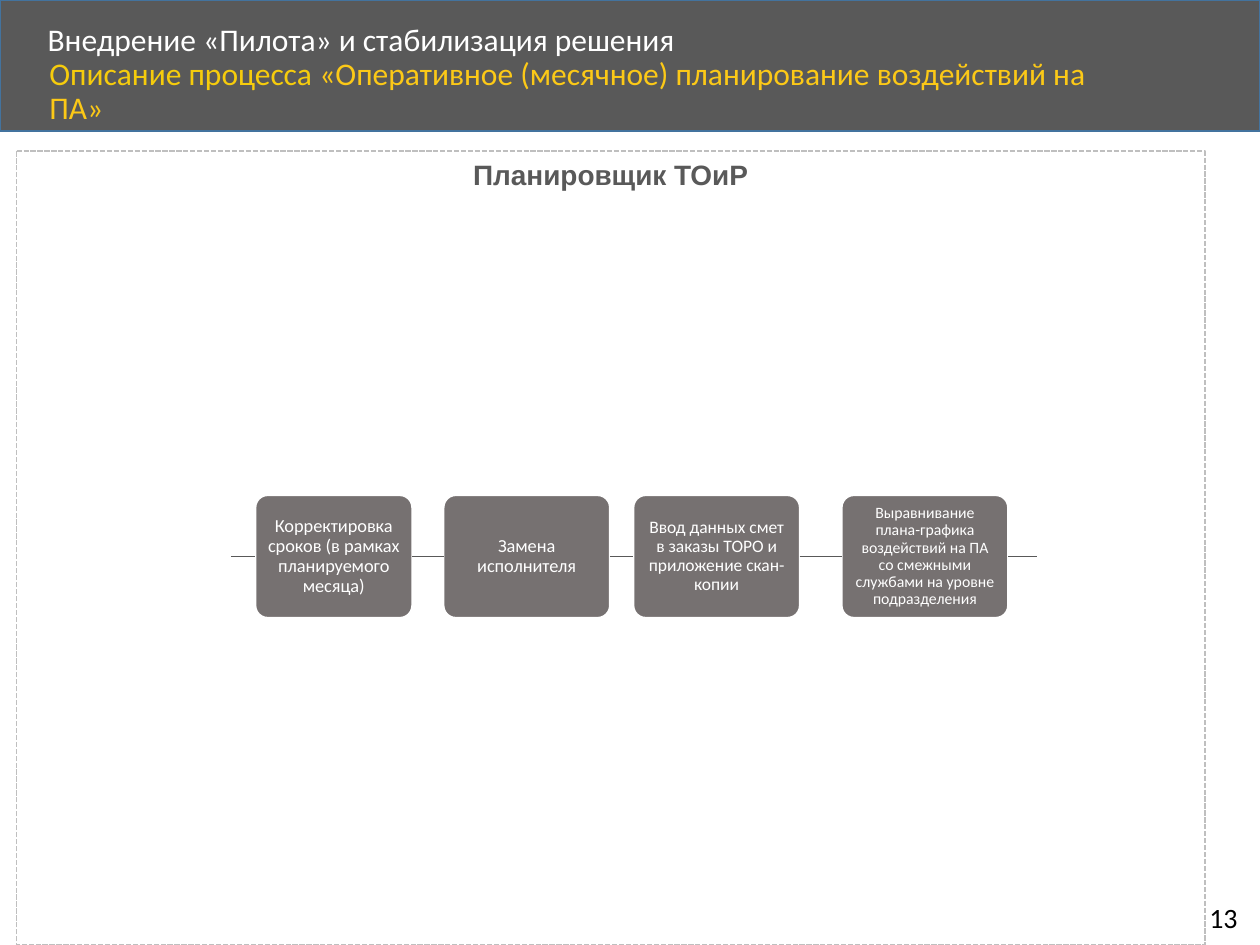
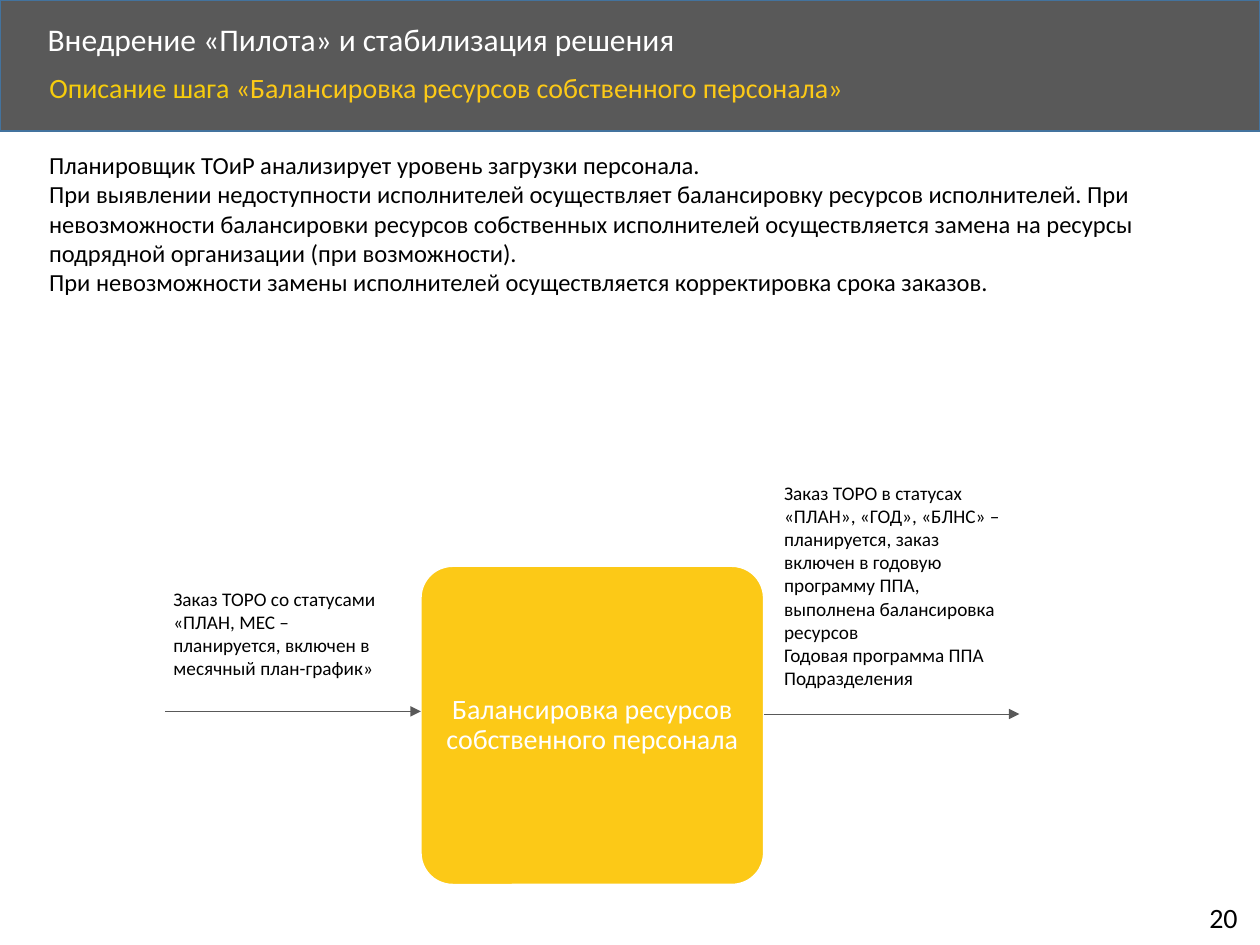
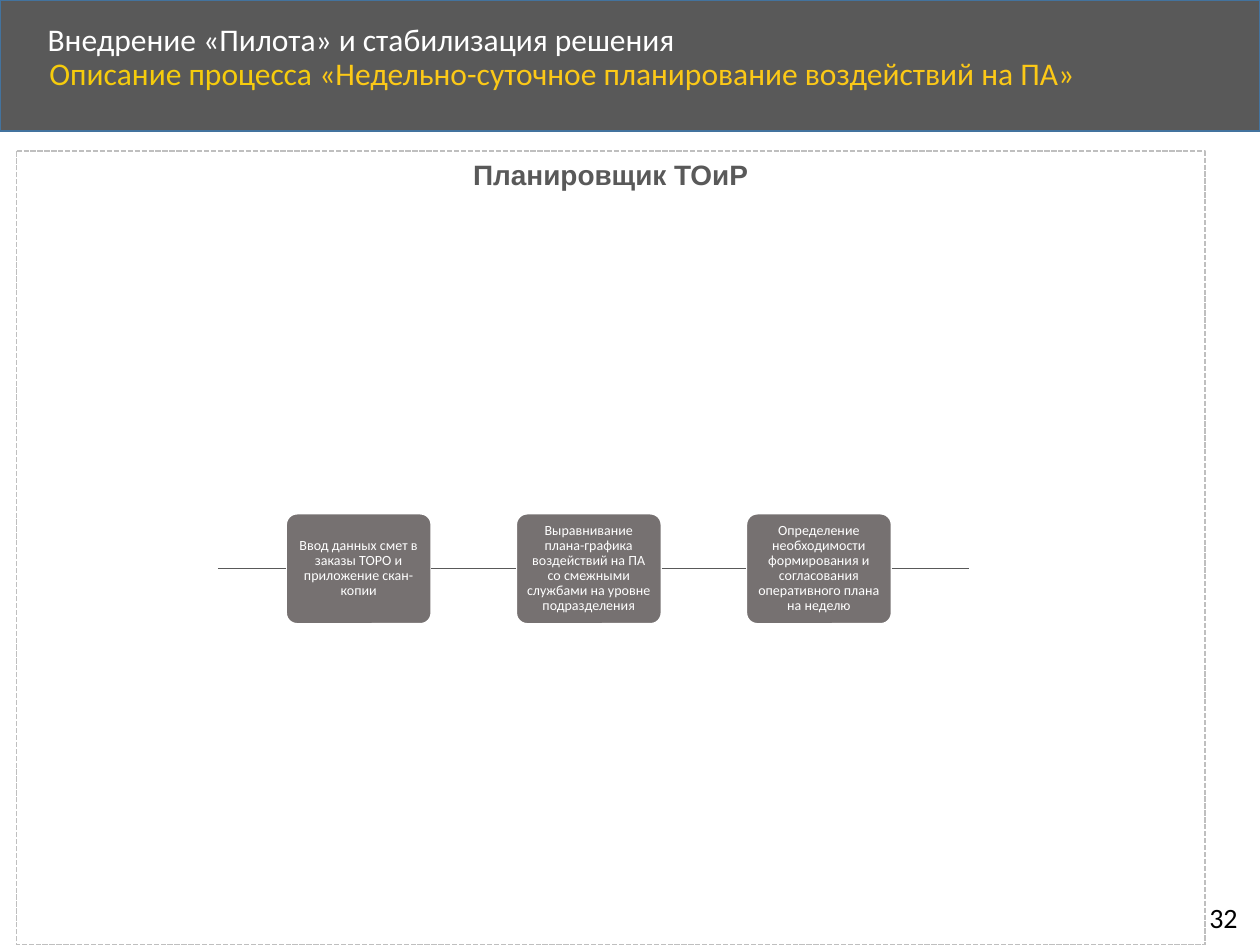
from dataclasses import dataclass
from itertools import pairwise

from lxml import etree
from pptx import Presentation
from pptx.dml.color import RGBColor
from pptx.enum import dml, shapes, text
from pptx.oxml.ns import qn
from pptx.util import Pt


@dataclass(frozen=True)
class Theme:
    """Colours, fonts and type sizes shared by all pages."""
    band: str = "595959"
    band_edge: str = "43739E"
    white: str = "FFFFFF"
    black: str = "000000"
    lead: str = "F6CC0C"
    accent: str = "FCC917"
    step: str = "767171"
    dash: str = "BFBFBF"
    font: str = "Calibri"
    panel_font: str = "Arial"
    title_size: float = 18
    number_size: float = 16
    panel_size: float = 16
    text_size: float = 14
    label_size: float = 11


THEME = Theme()
TITLE = "Внедрение «Пилота» и стабилизация решения"
ROLE = "Планировщик ТОиР"
ESTIMATES = "Ввод данных смет в заказы ТОРО и приложение скан-копии"
LEVELLING = ("Выравнивание плана-графика воздействий на ПА со смежными "
             "службами на уровне подразделения")


def rgb(value):
    """Turn a hex string into a colour."""
    return RGBColor.from_string(value)


def place(shape, left, top, width, height):
    """Move and size a shape, in points."""
    shape.left, shape.top = Pt(left), Pt(top)
    shape.width, shape.height = Pt(width), Pt(height)


def style(frame, size, color, font=THEME.font, bold=False, align=text.PP_ALIGN.LEFT,
          spacing=1.0):
    """Format every paragraph and span of a text frame."""
    for para in frame.paragraphs:
        para.alignment = align
        para.line_spacing = spacing
        para.space_before = Pt(0)
        for span in para.runs:
            span.font.name, span.font.size, span.font.bold = font, Pt(size), bold
            span.font.color.rgb = rgb(color)


def add_box(page, kind, frame, line, fill=None):
    """Add a preset shape without a shadow."""
    box = page.shapes.add_shape(kind, *map(Pt, frame))
    box.shadow.inherit = False
    if fill:
        box.fill.solid()
        box.fill.fore_color.rgb = rgb(fill)
    else:
        box.fill.background()
    box.line.color.rgb = rgb(line)
    box.line.width = Pt(1)
    return box


def add_label(page, frame, words, size, wrap=True):
    """Add a black text box that grows with its text."""
    box = page.shapes.add_textbox(*map(Pt, frame))
    box.text_frame.text = words
    box.text_frame.word_wrap = wrap
    box.text_frame.auto_size = text.MSO_AUTO_SIZE.SHAPE_TO_FIT_TEXT
    style(box.text_frame, size, THEME.black)
    return box


def add_line(page, start, end, arrow=False):
    """Add a thin straight connector between two points."""
    line = page.shapes.add_connector(shapes.MSO_CONNECTOR.STRAIGHT, *map(Pt, start + end))
    line.line.color.rgb = rgb(THEME.band)
    line.line.width = Pt(0.5)
    properties = line.element.spPr
    if arrow:
        etree.SubElement(properties.find(qn("a:ln")), qn("a:tailEnd"), type="triangle")
    etree.SubElement(properties, qn("a:effectLst"))
    return line


def add_step(page, frame, words, size, fill=THEME.step):
    """Add a rounded process step with centred white text."""
    step = add_box(page, shapes.MSO_SHAPE.ROUNDED_RECTANGLE, frame, THEME.white, fill)
    step.adjustments[0] = 0.1
    body = step.text_frame
    body.text = words
    body.word_wrap = True
    body.vertical_anchor = text.MSO_ANCHOR.MIDDLE
    body.margin_left = body.margin_right = Pt(4)
    body.margin_top = body.margin_bottom = Pt(1)
    style(body, size, THEME.white, align=text.PP_ALIGN.CENTER, spacing=0.9)
    return step


def add_subtitle(page, lead, subject, top, size):
    """Fill the body placeholder with a two-colour subtitle."""
    box = page.placeholders[1]
    place(box, 21, top, 624, 32.5)
    frame = box.text_frame
    frame.auto_size = text.MSO_AUTO_SIZE.NONE
    para = frame.paragraphs[0]
    para.text = lead
    para.add_run().text = subject
    properties = para._p.get_or_add_pPr()
    properties.set("marL", "0")
    properties.set("indent", "0")
    etree.SubElement(properties, qn("a:buNone"))
    style(frame, size, THEME.accent, spacing=0.9)
    para.runs[0].font.color.rgb = rgb(THEME.lead)


def add_page(deck, number, lead, subject, top=29.5, size=THEME.title_size):
    """Add a page with its band, title, subtitle and number."""
    page = deck.slides.add_slide(deck.slide_layouts[1])
    title = page.shapes.title
    band = add_box(page, shapes.MSO_SHAPE.RECTANGLE, (0, 0, 720, 75),
                   THEME.band_edge, THEME.band)
    title.element.addprevious(band.element)
    place(title, 20, 10, 581, 27.5)
    title.text_frame.text = TITLE
    title.text_frame.auto_size = text.MSO_AUTO_SIZE.NONE
    title.text_frame.vertical_anchor = text.MSO_ANCHOR.MIDDLE
    style(title.text_frame, THEME.title_size, THEME.white, spacing=0.9)
    add_subtitle(page, lead, subject, top, size)
    add_label(page, (684, 511, 33, 26.5), str(number), THEME.number_size, wrap=False)
    return page


def add_panel(page):
    """Add the dashed area of the responsible role."""
    panel = add_box(page, shapes.MSO_SHAPE.ROUNDED_RECTANGLE, (9.5, 86.5, 679, 453.5),
                    THEME.dash)
    panel.adjustments[0] = 0
    panel.line.dash_style = dml.MSO_LINE.SQUARE_DOT
    panel.text_frame.text = ROLE
    panel.text_frame.vertical_anchor = text.MSO_ANCHOR.TOP
    style(panel.text_frame, THEME.panel_size, THEME.band, THEME.panel_font, True,
          text.PP_ALIGN.CENTER)


def add_chain(page, steps, top, height, start, end):
    """Add a row of steps joined by lines, with a line in and a line out."""
    add_panel(page)
    middle = top + height / 2
    boxes = [add_step(page, (left, top, width, height), words, size)
             for left, width, size, words in steps]
    first_left = steps[0][0]
    last_right = steps[-1][0] + steps[-1][1]
    add_line(page, (start, middle), (first_left, middle)).end_connect(boxes[0], 1)
    for before, after in pairwise(boxes):
        link = add_line(page, (start, middle), (end, middle))
        link.begin_connect(before, 3)
        link.end_connect(after, 1)
    add_line(page, (last_right, middle), (end, middle)).begin_connect(boxes[-1], 3)


def build_monthly(deck):
    """Build the page on monthly planning."""
    page = add_page(deck, 13, "Описание процесса ",
                    "«Оперативное (месячное) планирование воздействий на ПА»")
    steps = [
        (146, 89.5, 10.5, "Корректировка сроков (в рамках планируемого месяца)"),
        (253.5, 95, 10.5, "Замена исполнителя"),
        (362, 95, 10, ESTIMATES),
        (481, 95, 9, LEVELLING),
    ]
    add_chain(page, steps, 283, 70, 132, 592.5)


def build_balancing(deck):
    """Build the page on balancing the staff."""
    page = add_page(deck, 20, "Описание шага ",
                    "«Балансировка ресурсов собственного персонала»", 39, 16)
    add_step(page, (240.5, 323.5, 196, 182), "Балансировка ресурсов собственного персонала",
             16, THEME.accent)
    add_line(page, (436.5, 408), (582.5, 408), arrow=True)
    add_line(page, (94.5, 406.5), (240.5, 406.5), arrow=True)
    add_label(page, (441, 271.5, 144, 127.5),
              "Заказ ТОРО в статусах «ПЛАН», «ГОД», «БЛНС» – планируется, заказ "
              "включен в годовую программу ППА, выполнена балансировка ресурсов\n"
              "Годовая программа ППА Подразделения", THEME.label_size)
    add_label(page, (92, 332, 144, 60.5),
              "Заказ ТОРО со статусами «ПЛАН, МЕС – планируется, включен в "
              "месячный план-график»", THEME.label_size)
    add_label(page, (21, 82, 681, 92),
              "Планировщик ТОиР анализирует уровень загрузки персонала.\n"
              "При выявлении недоступности исполнителей осуществляет балансировку "
              "ресурсов исполнителей. При невозможности балансировки ресурсов "
              "собственных исполнителей осуществляется замена на ресурсы подрядной "
              "организации (при возможности).\n"
              "При невозможности замены исполнителей осуществляется корректировка "
              "срока заказов.", THEME.text_size)


def build_weekly(deck):
    """Build the page on weekly and daily planning."""
    page = add_page(deck, 32, "Описание процесса ",
                    "«Недельно-суточное планирование воздействий на ПА»")
    names = [ESTIMATES, LEVELLING,
             "Определение необходимости формирования и согласования "
             "оперативного плана на неделю"]
    steps = [(163.5 + 131.5 * index, 83, 8, words) for index, words in enumerate(names)]
    add_chain(page, steps, 293.5, 63, 124.5, 553.5)


def main():
    """Build and save the deck."""
    deck = Presentation()
    deck.slide_width, deck.slide_height = Pt(720), Pt(540)
    build_monthly(deck)
    build_balancing(deck)
    build_weekly(deck)
    deck.save("out.pptx")


if __name__ == "__main__":
    main()
